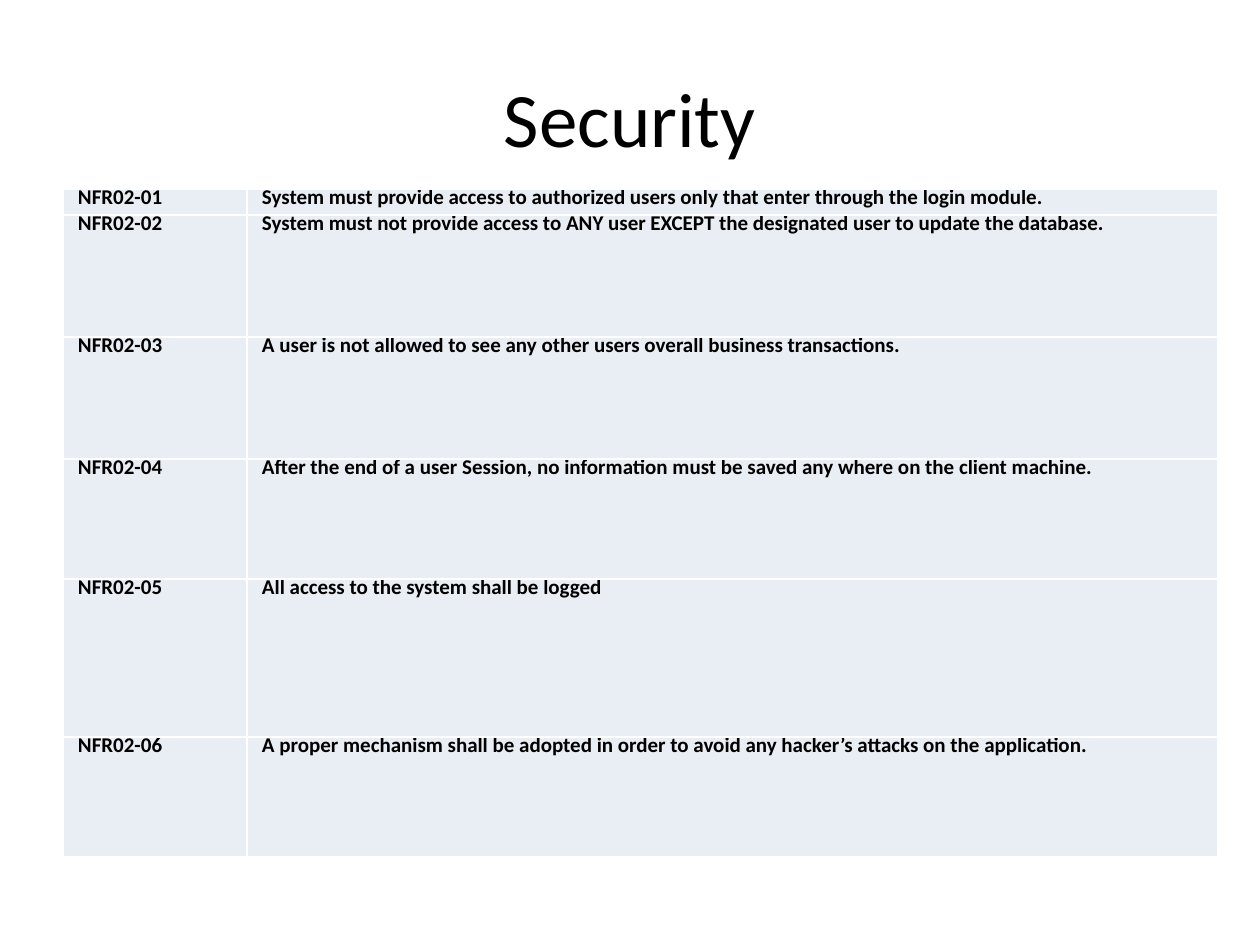
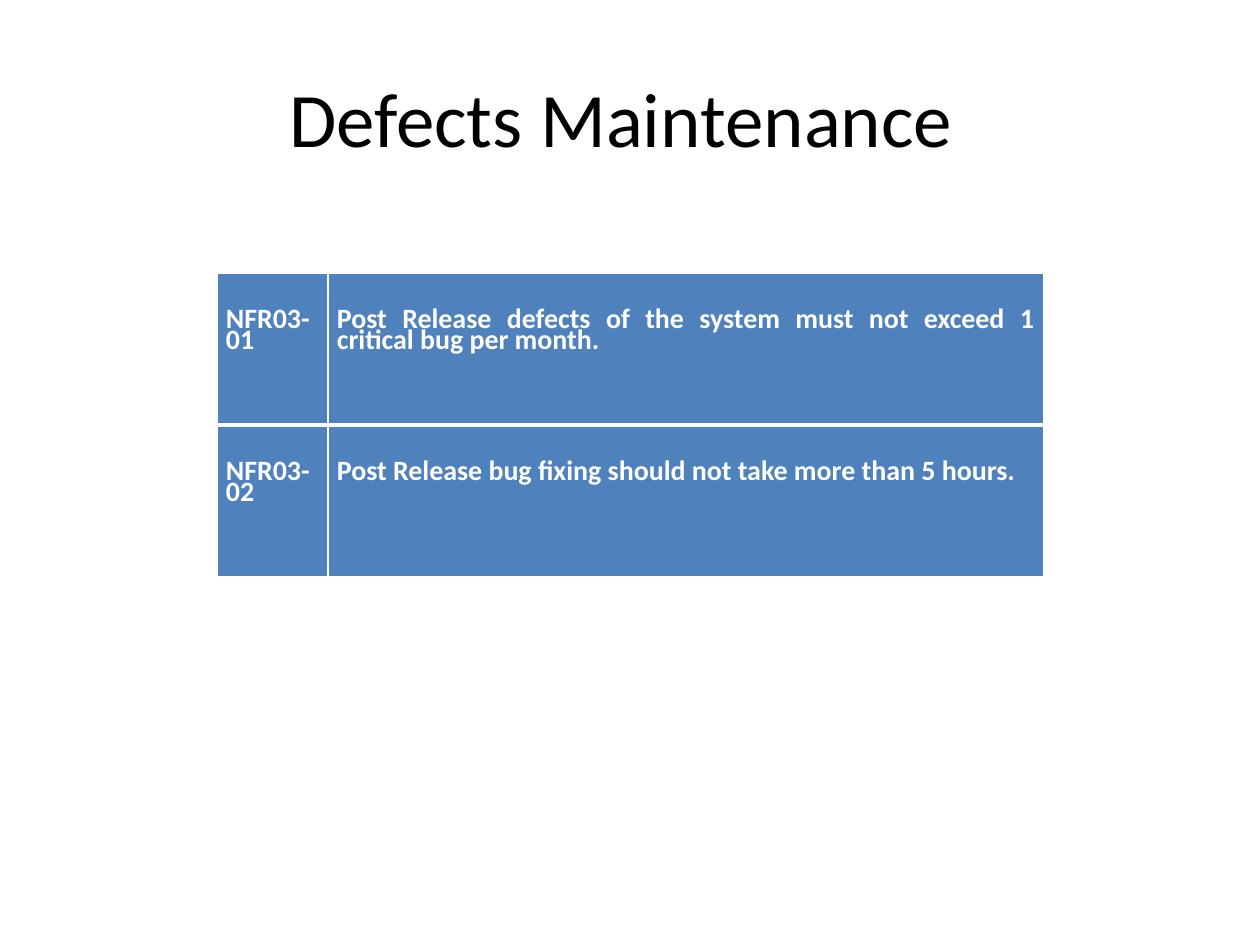
"""Build two slides of numbered non-functional requirements."""
from lxml import etree
from pptx import Presentation
from pptx.dml.color import RGBColor
from pptx.enum.text import MSO_ANCHOR, PP_ALIGN
from pptx.oxml.ns import qn
from pptx.util import Pt

EMU_PER_PIXEL = 914400 / 126
CENTER, JUSTIFY, LEFT = PP_ALIGN.CENTER, PP_ALIGN.JUSTIFY, PP_ALIGN.LEFT
MIDDLE, TOP = MSO_ANCHOR.MIDDLE, MSO_ANCHOR.TOP
TITLE_ONLY = 5
BLACK = RGBColor(0x00, 0x00, 0x00)
WHITE = RGBColor(0xFF, 0xFF, 0xFF)
PALE_BLUE = RGBColor(0xE9, 0xED, 0xF4)
BLUE = RGBColor(0x4F, 0x81, 0xBD)


def px(length):
    return round(length * EMU_PER_PIXEL)


def assign(target, values):
    for name, value in values.items():
        setattr(target, name, value)


def spacing(alignment, before, after):
    return {"alignment": alignment, "line_spacing": Pt(12),
            "space_before": Pt(before), "space_after": Pt(after)}


class Deck:
    font_name = "Calibri"
    title_frame = {"left": px(63), "top": px(38), "width": px(1134), "height": px(158)}

    def __init__(self):
        self.presentation = Presentation()
        assign(self.presentation, {"slide_width": px(1260), "slide_height": px(945)})
        self.slide = None

    def styled_text(self, paragraph, text, size, color, bold, layout):
        run = paragraph.add_run()
        run.text = text
        assign(run.font, {"name": self.font_name, "size": Pt(size), "bold": bold})
        run.font.color.rgb = color
        assign(paragraph, layout)

    def titled_slide(self, heading):
        layout = self.presentation.slide_layouts[TITLE_ONLY]
        self.slide = self.presentation.slides.add_slide(layout)
        title = self.slide.shapes.title
        assign(title, self.title_frame)
        assign(title.text_frame, {"vertical_anchor": MIDDLE, "word_wrap": True})
        self.styled_text(title.text_frame.paragraphs[0], heading, 44, BLACK, False,
                         {"alignment": CENTER})

    def border(self, cell, side, points):
        line = etree.SubElement(cell._tc.get_or_add_tcPr(), qn(f"a:ln{side}"),
                                w=str(Pt(points)))
        fill = etree.SubElement(line, qn("a:solidFill"))
        etree.SubElement(fill, qn("a:srgbClr"), val=str(WHITE))

    def requirements(self, left, top, widths, heights, prefix, entries, *,
                     size, color, fill, inset, top_inset=0, divider=1):
        table = self.slide.shapes.add_table(
            len(heights), len(widths), px(left), px(top),
            px(sum(widths)), px(sum(heights))).table
        assign(table, {"first_row": False, "horz_banding": False})
        for column, width in zip(table.columns, widths):
            column.width = px(width)
        last = len(entries) - 1
        for index, (statement, layout) in enumerate(entries):
            table.rows[index].height = px(heights[index])
            borders = {"L": 1, "R": 1, "T": divider if index else 1,
                       "B": divider if index < last else 1}
            number = (f"{prefix}-{index + 1:02}", entries[0][1])
            for column, (text, style) in enumerate((number, (statement, layout))):
                cell = table.cell(index, column)
                for side, points in borders.items():
                    self.border(cell, side, points)
                cell.fill.solid()
                cell.fill.fore_color.rgb = fill
                assign(cell, {"margin_left": px(inset), "margin_right": px(inset),
                              "margin_top": px(top_inset), "margin_bottom": 0,
                              "vertical_anchor": TOP})
                self.styled_text(cell.text_frame.paragraphs[0], text, size, color,
                                 True, style)


WIDE = spacing(JUSTIFY, 12, 12)
LISTED = spacing(LEFT, 6, 3)
EVEN = spacing(JUSTIFY, 6, 6)

SECURITY = [
    ("System must provide access to authorized users only that enter through "
     "the login module.", WIDE),
    ("System must not provide access to ANY user EXCEPT the designated user to "
     "update the database.", WIDE),
    ("A user is not allowed to see any other users overall business transactions.", WIDE),
    ("After the end of a user Session, no information must be saved any where on "
     "the client machine.", WIDE),
    ("All access to the system shall be logged", LISTED),
    ("A proper mechanism shall be adopted in order to avoid any hacker’s attacks "
     "on the application.", LISTED),
]
MAINTENANCE = [
    ("Post Release defects of the system must not exceed 1 critical bug per month.", EVEN),
    ("Post Release bug fixing should not take more than 5 hours.", EVEN),
]

deck = Deck()
deck.titled_slide("Security")
deck.requirements(63, 189, [184, 971], [26, 122, 122, 120, 158, 120], "NFR02", SECURITY,
                  size=12, color=BLACK, fill=PALE_BLUE, inset=15)
deck.titled_slide("Defects Maintenance ")
deck.requirements(217, 273, [111, 716], [152, 152], "NFR03", MAINTENANCE,
                  size=16, color=WHITE, fill=BLUE, inset=9, top_inset=42, divider=3)
deck.presentation.save("out.pptx")
